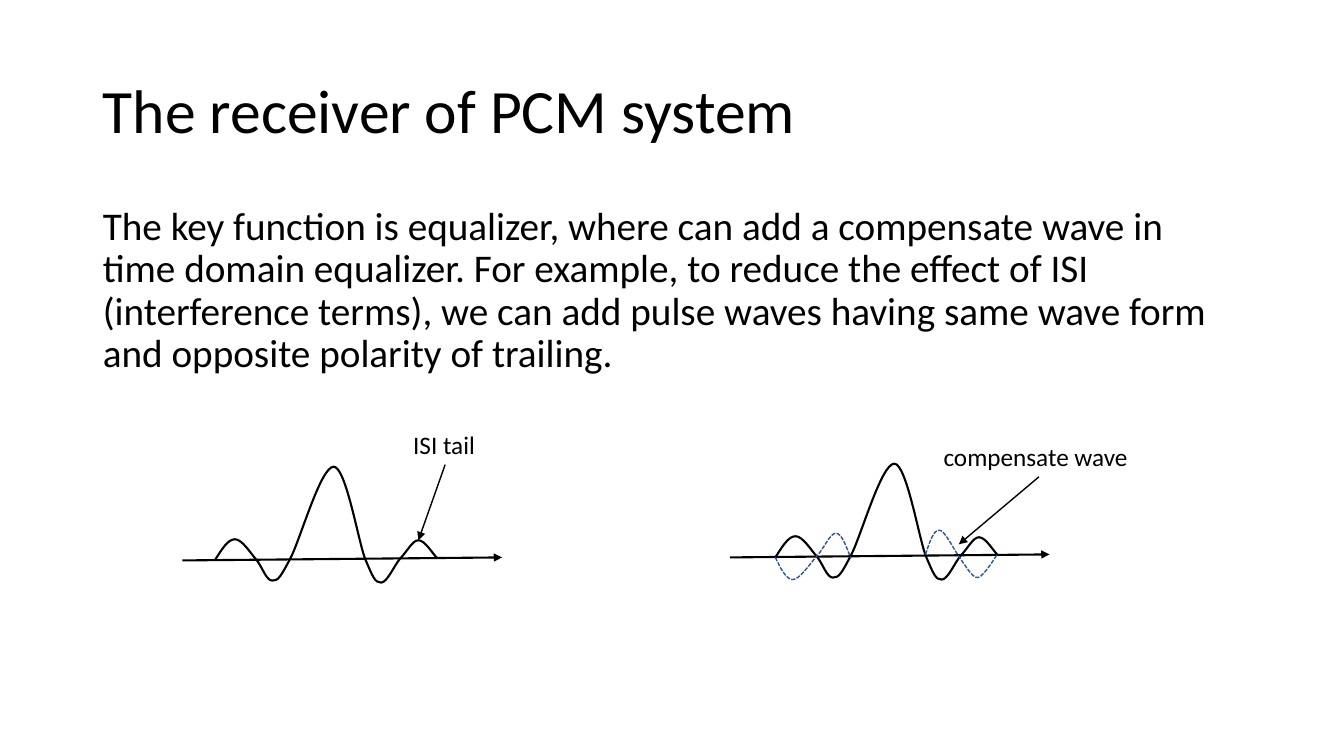
from dataclasses import dataclass

from lxml.etree import SubElement
from pptx import Presentation
from pptx.dml.color import RGBColor
from pptx.enum.dml import MSO_LINE
from pptx.enum.shapes import MSO_CONNECTOR
from pptx.enum.text import MSO_ANCHOR, MSO_AUTO_SIZE, PP_ALIGN
from pptx.oxml.ns import qn
from pptx.util import Inches, Pt

BLACK = "000000"
BLUE = "325491"
Point = tuple[float, float]


@dataclass
class Wave:
    """A start point followed by three control points per curve."""
    points: list[Point]
    color: str = BLACK
    width: float = 1.5
    dashed: bool = False

    def shift(self, dx: float, dy: float) -> "Wave":
        moved = [(x + dx, y + dy) for x, y in self.points]
        return Wave(moved, self.color, self.width, self.dashed)


@dataclass
class Label:
    text: str
    box: tuple[float, float, float, float]
    target: Point


PULSE = Wave([
    (2.13, 5.56), (2.2, 5.45), (2.26, 5.35), (2.33, 5.35),
    (2.4, 5.35), (2.48, 5.48), (2.54, 5.55),
    (2.6, 5.62), (2.64, 5.76), (2.7, 5.76),
    (2.76, 5.76), (2.78, 5.73), (2.88, 5.54),
    (2.98, 5.35), (3.18, 4.63), (3.31, 4.63),
    (3.43, 4.63), (3.55, 5.35), (3.62, 5.54),
    (3.7, 5.73), (3.72, 5.78), (3.78, 5.78),
    (3.84, 5.78), (3.91, 5.61), (3.97, 5.54),
    (4.04, 5.47), (4.09, 5.36), (4.15, 5.36),
    (4.22, 5.36), (4.3, 5.51), (4.34, 5.54),
])
LEFT_FIX = Wave([
    (7.69, 5.53), (7.74, 5.64), (7.8, 5.75), (7.86, 5.75),
    (7.93, 5.75), (8.02, 5.61), (8.09, 5.53),
    (8.17, 5.45), (8.23, 5.29), (8.29, 5.29),
    (8.35, 5.29), (8.39, 5.42), (8.44, 5.54),
], BLUE, 1, True)
RIGHT_FIX = Wave([
    (9.18, 5.5), (9.22, 5.38), (9.26, 5.25), (9.32, 5.26),
    (9.37, 5.26), (9.47, 5.47), (9.53, 5.55),
    (9.59, 5.63), (9.64, 5.73), (9.7, 5.73),
    (9.76, 5.72), (9.89, 5.5), (9.89, 5.5),
], BLUE, 1, True)
WAVES = [PULSE, PULSE.shift(5.56, -0.03), LEFT_FIX, RIGHT_FIX]
AXES = [((1.81, 5.56), (4.98, 5.53)), ((7.24, 5.53), (10.41, 5.5))]
LABELS = [
    Label("ISI tail", (4, 4.21, 0.83, 0.4), (4.15, 5.36)),
    Label("compensate wave", (9.26, 4.33, 2.09, 0.4), (9.51, 5.4)),
]
TITLE = "The receiver of PCM system"
BODY = (
    "The key function is equalizer, where can add a compensate wave in time "
    "domain equalizer. For example, to reduce the effect of ISI (interference "
    "terms), we can add pulse waves having same wave form and opposite "
    "polarity of trailing."
)


def paint(color: str) -> RGBColor:
    return RGBColor.from_string(color)


def write(frame, text: str, *, size: float, spacing: float = 1.0,
          anchor=MSO_ANCHOR.TOP, fit=MSO_AUTO_SIZE.NONE, wrap: bool = True):
    frame.auto_size = fit
    frame.word_wrap = wrap
    frame.vertical_anchor = anchor
    par = frame.paragraphs[0]
    par.alignment = PP_ALIGN.LEFT
    par.line_spacing = spacing
    par.space_before = Pt(0)
    run = par.add_run()
    run.text = text
    run.font.size = Pt(size)
    run.font.name = "Calibri"
    run.font.color.rgb = paint(color=BLACK)
    return par


def place(shape, box: tuple[float, float, float, float]) -> None:
    shape.left, shape.top, shape.width, shape.height = map(Inches, box)


def add_arrow(shapes, start: Point, end: Point, width: float):
    arrow = shapes.add_connector(
        MSO_CONNECTOR.STRAIGHT, *map(Inches, (*start, *end)))
    arrow.line.color.rgb = paint(BLACK)
    arrow.line.width = Pt(width)
    SubElement(arrow.line._get_or_add_ln(), qn("a:tailEnd"), type="triangle")
    SubElement(arrow._element.spPr, qn("a:effectLst"))
    return arrow


def add_wave(shapes, wave: Wave) -> None:
    """Draw the wave, turning each three line segments into one Bezier."""
    start, *rest = [(Inches(x), Inches(y)) for x, y in wave.points]
    pen = shapes.build_freeform(*start)
    pen.add_line_segments(rest, close=False)
    shape = pen.convert_to_shape()
    trace = shape._element.find(".//" + qn("a:path"))
    lines = trace.findall(qn("a:lnTo"))
    for i in range(0, len(lines), 3):
        curve = SubElement(trace, qn("a:cubicBezTo"))
        for line in lines[i:i + 3]:
            curve.append(line[0])
            trace.remove(line)
    shape.shadow.inherit = False
    shape.fill.background()
    shape.line.color.rgb = paint(wave.color)
    shape.line.width = Pt(wave.width)
    if wave.dashed:
        shape.line.dash_style = MSO_LINE.SQUARE_DOT


def add_label(shapes, label: Label) -> None:
    box = shapes.add_textbox(*map(Inches, label.box))
    write(box.text_frame, label.text, size=18, wrap=False,
          fit=MSO_AUTO_SIZE.SHAPE_TO_FIT_TEXT)
    left, top, width, height = label.box
    arrow = add_arrow(shapes, (left + width / 2, top + height),
                      label.target, 1)
    arrow.begin_connect(box, 2)


def main() -> None:
    deck = Presentation()
    deck.slide_width, deck.slide_height = Inches(13.33), Inches(7.5)
    slide = deck.slides.add_slide(deck.slide_layouts[1])
    shapes = slide.shapes
    title, body = shapes.title, slide.placeholders[1]
    place(title, (0.92, 0.4, 11.5, 1.45))
    write(title.text_frame, TITLE, size=44, spacing=0.9,
          anchor=MSO_ANCHOR.MIDDLE)
    place(body, (0.92, 2, 11.5, 4.76))
    par = write(body.text_frame, BODY, size=28, spacing=0.9)
    props = par._p.get_or_add_pPr()
    props.set("marL", "0")
    props.set("indent", "0")
    SubElement(props, qn("a:buNone"))
    for start, end in AXES:
        add_arrow(shapes, start, end, 1.5)
    for wave in WAVES:
        add_wave(shapes, wave)
    for label in LABELS:
        add_label(shapes, label)
    deck.save("out.pptx")


if __name__ == "__main__":
    main()
